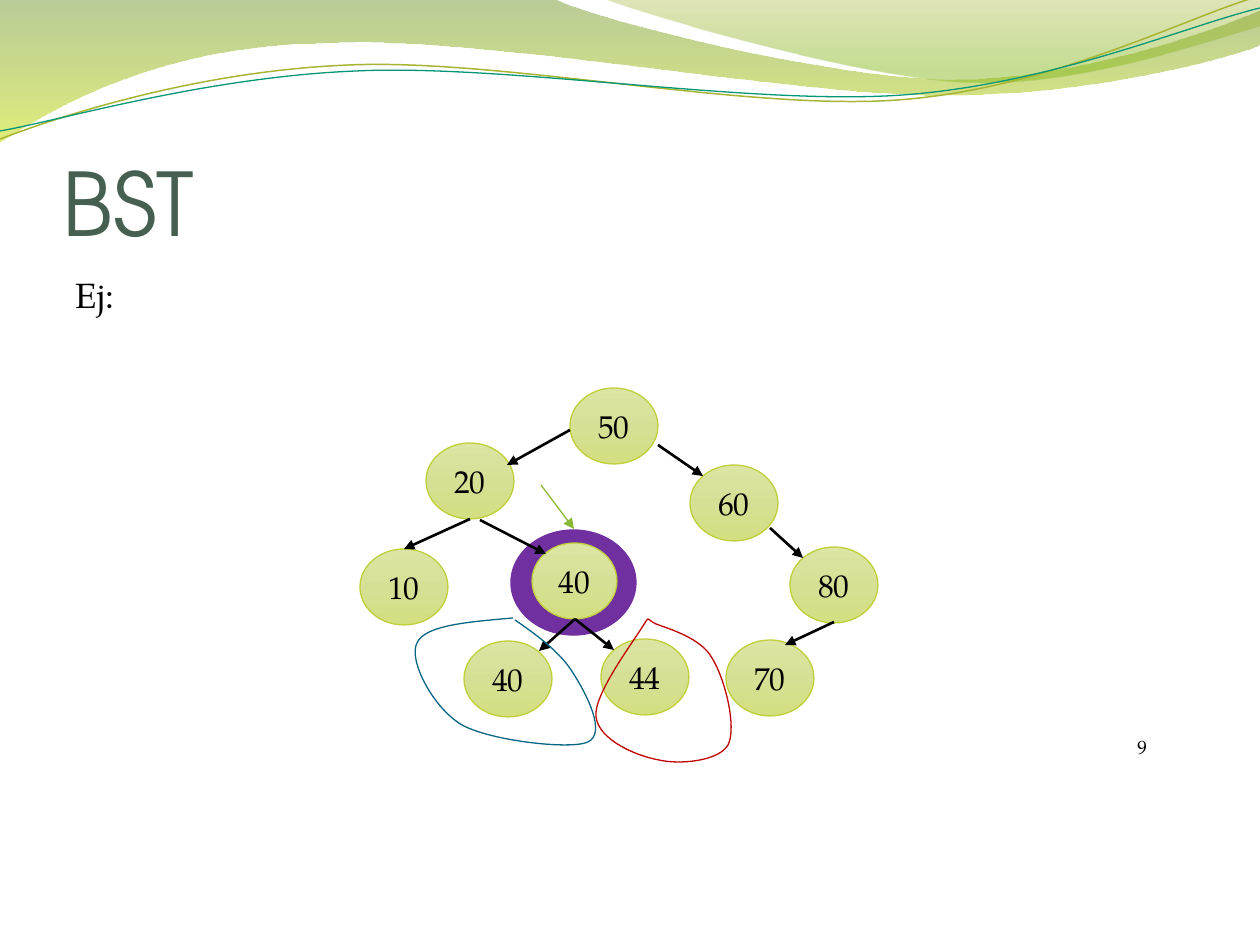
from dataclasses import dataclass
from pptx import Presentation
from pptx.dml.color import RGBColor
from pptx.enum.shapes import MSO_CONNECTOR, MSO_SHAPE
from pptx.enum.text import MSO_ANCHOR, PP_ALIGN
from pptx.oxml.ns import qn
from pptx.util import Pt
from lxml.etree import SubElement

SCALE = 914400 / 126  # EMU in one px


@dataclass(frozen=True)
class Theme:
    head: str = "TeX Gyre Adventor"
    body: str = "TeX Gyre Pagella"
    title: str = "455F51"
    ink: str = "000000"
    ring: str = "7030A0"
    rim: str = "C0CF3A"
    mark: str = "8AB833"
    left: str = "066684"
    right: str = "C00000"
    gold: str = "A8B532"
    teal: str = "029676"
    # Gradient stops: position, colour, opacity in percent
    node: tuple = ((0, "DCE5A3", 100), (50, "D6E095", 100), (100, "D4DF81", 100))
    wave: tuple = ((0, "668F1B", 45), (100, "CAE00E", 55))
    crest: tuple = ((0, "99A719", 30), (80, "80B814", 45), (100, "80B814", 45))
    title_size: int = 50
    body_size: int = 20
    node_size: int = 18
    page_size: int = 11
    thin: float = 0.75
    thick: float = 1.5


THEME = Theme()
NODE_W, NODE_H = 88, 76

# Value, left, top, width
NODES = [
    ("50", 570, 388, NODE_W), ("60", 690, 465, NODE_W), ("20", 426, 443, NODE_W),
    ("10", 360, 549, NODE_W), ("40", 532, 543, 85), ("40", 464, 641, NODE_W),
    ("44", 601, 639, NODE_W), ("80", 790, 547, NODE_W), ("70", 726, 640, NODE_W),
]
# Start x, y and end x, y
EDGES = [
    (658, 445, 703, 476), (770, 528, 803, 558), (834, 622, 785, 645),
    (570, 430, 507, 465), (470, 519, 404, 549), (480, 520, 546, 554),
    (575, 619, 539, 651), (575, 619, 614, 650),
]
# Outlines: a start point, then lines (2 numbers) or cubic curves (6 numbers)
WAVE = [
    (0, 0), (554, -1), (599, 21, 835, 79, 955, 79), (1075, 79, 1207, 33, 1260, 11),
    (1261, 45), (1239, 55, 1095, 96, 940, 95), (784, 95, 480, 35, 324, 43),
    (163, 45, 58, 105, -1, 142), (0, 0),
]
CREST = [
    (604, -1), (641, 14, 859, 78, 968, 82), (1077, 87, 1211, 40, 1260, 26),
    (1260, 0), (604, -1),
]
GOLD = [
    (0, 139), (60, 116, 198, 71, 348, 65), (498, 58, 746, 111, 897, 100),
    (1050, 89, 1182, 19, 1256, -3),
]
TEAL = [
    (0, 131), (59, 121, 205, 77, 357, 71), (507, 64, 752, 106, 903, 95),
    (1053, 84, 1186, 26, 1260, 8),
]
LEFT = [
    (513, 618), (469, 622, 425, 625, 417, 643), (408, 660, 433, 708, 462, 725),
    (491, 741, 571, 750, 588, 742), (607, 733, 586, 693, 573, 673),
    (561, 653, 538, 636, 515, 620),
]
RIGHT = [
    (656, 624), (645, 619, 651, 614, 641, 629), (631, 645, 593, 696, 596, 717),
    (599, 740, 636, 756, 659, 760), (680, 765, 719, 761, 728, 745),
    (737, 727, 725, 679, 712, 658), (701, 638, 669, 629, 656, 624),
]


def px(*vals):
    return [round(v * SCALE) for v in vals]


def rgb(code):
    return RGBColor.from_string(code)


def shade(shape, stops):
    """Fill from top to bottom with the given stops."""
    shape.fill.gradient()
    shape.fill.gradient_angle = 270
    group = shape.element.spPr.find(qn("a:gradFill")).find(qn("a:gsLst"))
    for old in list(group):
        group.remove(old)
    for pos, code, alpha in stops:
        stop = SubElement(group, qn("a:gs"), pos=str(pos * 1000))
        color = SubElement(stop, qn("a:srgbClr"), val=code)
        if alpha < 100:
            SubElement(color, qn("a:alpha"), val=str(alpha * 1000))


def stroke(shape, code, width):
    shape.line.color.rgb = rgb(code)
    shape.line.width = Pt(width)


def bend(shape, steps):
    """Swap the straight segments of curved steps for cubic curves."""
    sides = list(shape.element.iter(qn("a:lnTo")))
    for side, step in zip(sides, steps[1:]):
        if len(step) == 2:
            continue
        owner = side.getparent()
        curve = SubElement(owner, qn("a:cubicBezTo"))
        spots = px(*step)
        for x, y in zip(spots[::2], spots[1::2]):
            SubElement(curve, qn("a:pt"), x=str(x - shape.left), y=str(y - shape.top))
        owner.replace(side, curve)


def add_curve(slide, steps, stops=None, line=None, width=THEME.thin, close=False):
    dots = [px(*step[-2:]) for step in steps]
    pen = slide.shapes.build_freeform(*dots[0], scale=1.0)
    pen.add_line_segments(dots[1:], close=close)
    shape = pen.convert_to_shape()
    bend(shape, steps)
    shape.shadow.inherit = False
    if stops:
        shade(shape, stops)
    else:
        shape.fill.background()
    if line:
        stroke(shape, line, width)
    else:
        shape.line.fill.background()


def write(shape, text, size, color=THEME.ink, face=THEME.body,
          align=PP_ALIGN.LEFT, anchor=MSO_ANCHOR.TOP, pad=(13, 6, 13, 6)):
    frame = shape.text_frame
    frame.word_wrap = True
    frame.vertical_anchor = anchor
    (frame.margin_left, frame.margin_top,
     frame.margin_right, frame.margin_bottom) = px(*pad)
    para = frame.paragraphs[0]
    para.text = text
    para.alignment = align
    para.font.size, para.font.name = Pt(size), face
    para.font.color.rgb = rgb(color)


def add_text(slide, box, text, size, **style):
    write(slide.shapes.add_textbox(*px(*box)), text, size, **style)


def add_oval(slide, box, line):
    oval = slide.shapes.add_shape(MSO_SHAPE.OVAL, *px(*box))
    oval.shadow.inherit = False
    stroke(oval, line, THEME.thin)
    return oval


def add_node(slide, text, x, y, wide):
    oval = add_oval(slide, (x, y, wide, NODE_H), THEME.rim)
    shade(oval, THEME.node)
    write(oval, text, THEME.node_size, align=PP_ALIGN.CENTER, anchor=MSO_ANCHOR.MIDDLE)


def add_arrow(slide, ends, color, width):
    arrow = slide.shapes.add_connector(MSO_CONNECTOR.STRAIGHT, *px(*ends))
    stroke(arrow, color, width)
    SubElement(arrow.element.spPr.find(qn("a:ln")), qn("a:tailEnd"), type="triangle")
    SubElement(arrow.element.spPr, qn("a:effectLst"))


def main():
    deck = Presentation()
    deck.slide_width, deck.slide_height = px(1260, 945)
    slide = deck.slides.add_slide(deck.slide_layouts[6])

    # Waves along the top
    add_curve(slide, WAVE, stops=THEME.wave, close=True)
    add_curve(slide, CREST, stops=THEME.crest, close=True)
    add_curve(slide, GOLD, line=THEME.gold, width=0.85)
    add_curve(slide, TEAL, line=THEME.teal)

    # Ring and pointer at the chosen node
    ring = add_oval(slide, (511, 530, 125, 105), THEME.ring)
    ring.fill.solid()
    ring.fill.fore_color.rgb = rgb(THEME.ring)
    add_arrow(slide, (541, 485, 574, 529), THEME.mark, THEME.thin)

    # Title, body and page number
    add_text(slide, (63, 96, 1134, 158), "BST", THEME.title_size, color=THEME.title,
             face=THEME.head, anchor=MSO_ANCHOR.BOTTOM, pad=(0, 6, 0, 0))
    add_text(slide, (63, 268, 1134, 605), "Ej:", THEME.body_size, align=PP_ALIGN.JUSTIFY)
    add_text(slide, (1042, 708, 105, 50), "9", THEME.page_size,
             align=PP_ALIGN.RIGHT, anchor=MSO_ANCHOR.BOTTOM, pad=(0, 0, 0, 0))

    # Tree
    for node in NODES:
        add_node(slide, *node)
    for edge in EDGES:
        add_arrow(slide, edge, THEME.ink, THEME.thick)

    # Loops round the two subtrees
    add_curve(slide, LEFT, line=THEME.left)
    add_curve(slide, RIGHT, line=THEME.right, close=True)

    deck.save("out.pptx")


if __name__ == "__main__":
    main()
